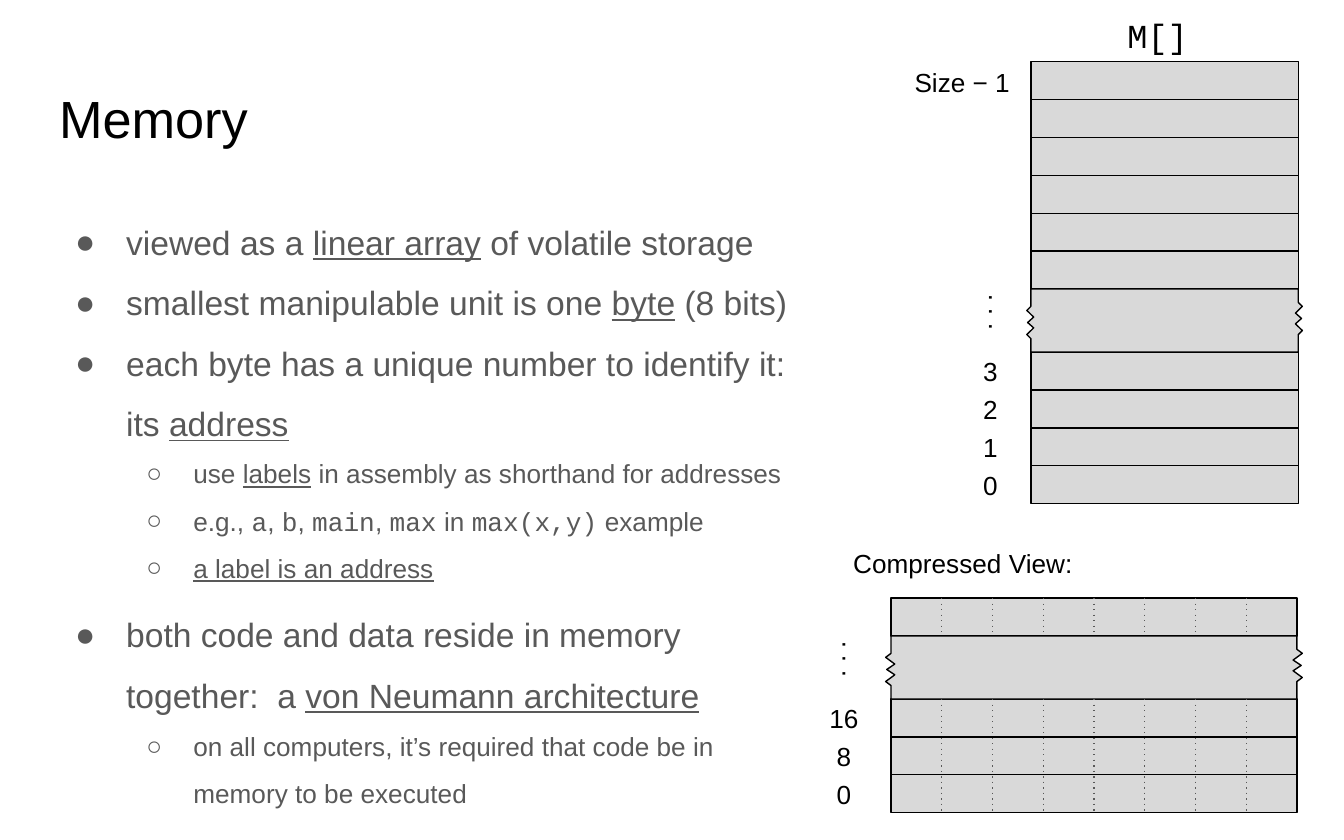
from dataclasses import dataclass

from lxml import etree
from pptx import Presentation
from pptx.dml.color import RGBColor
from pptx.enum.shapes import MSO_CONNECTOR, MSO_SHAPE
from pptx.enum.text import MSO_ANCHOR, MSO_AUTO_SIZE, PP_ALIGN
from pptx.oxml.ns import qn
from pptx.util import Inches, Pt

RECTANGLE = MSO_SHAPE.RECTANGLE
STRAIGHT = MSO_CONNECTOR.STRAIGHT
TOP, MIDDLE = MSO_ANCHOR.TOP, MSO_ANCHOR.MIDDLE
LEFT, CENTER = PP_ALIGN.LEFT, PP_ALIGN.CENTER


@dataclass(frozen=True)
class Theme:
    ink: str = "000000"
    muted: str = "595959"
    cell: str = "D9D9D9"
    sans: str = "Arial"
    mono: str = "Courier New"
    title: int = 28
    large: int = 18
    small: int = 14
    stroke: float = 0.75


THEME = Theme()
PLAIN, TERM, CODE = "plain", "term", "code"

# Each block: top, then paragraphs of (level, runs); terms are underlined.
BLOCKS = [
    (1.4, [
        (0, [("viewed as a ", PLAIN), ("linear array", TERM), (" of volatile storage", PLAIN)]),
        (0, [("smallest manipulable unit is one ", PLAIN), ("byte", TERM), (" (8 bits)", PLAIN)]),
    ]),
    (2.3, [
        (0, [("each byte has a unique number to identify it:  its ", PLAIN), ("address", TERM)]),
    ]),
    (3.19, [
        (1, [("use ", PLAIN), ("labels", TERM), (" in assembly as shorthand for addresses", PLAIN)]),
        (1, [("e.g., ", PLAIN), ("a", CODE), (", ", PLAIN), ("b", CODE), (", ", PLAIN),
             ("main", CODE), (", ", PLAIN), ("max", CODE), (" in ", PLAIN),
             ("max(x,y)", CODE), (" example", PLAIN)]),
        (1, [("a label is an address", TERM)]),
    ]),
    (4.32, [
        (0, [("both code and data reside in memory together:  a ", PLAIN),
             ("von Neumann architecture", TERM)]),
        (1, [("on all computers, it’s required that code be in memory to be executed", PLAIN)]),
    ]),
]
# Per level: bullet, text indent, hanging indent, size
LEVELS = [("●", 0.5, -0.38, THEME.large), ("○", 1.0, -0.35, THEME.small)]

# Addresses are listed from the row just below the break downwards.
MEMORY_VIEWS = [
    dict(left=7.67, top=0.46, width=1.99, above=6, addresses=["3", "2", "1", "0"],
         columns=1, label_center=7.37, swing=0.03),
    dict(left=6.63, top=4.45, width=3.02, above=1, addresses=["16", "8", "0"],
         columns=8, label_center=6.28, swing=0.04),
]
ROW = 1.69 / 6
BREAK = 0.47
# Torn edge: (sideways swing, distance below the top of the break)
TEAR = [(0, 0), (0, 0.13), (-1, 0.16), (0.7, 0.21), (-0.8, 0.25),
        (0.7, 0.29), (-1, 0.34), (0, 0.37), (0, BREAK)]


def style(font, size, color, name=THEME.sans):
    font.size = Pt(size)
    font.name = name
    font.color.rgb = RGBColor.from_string(color)


def outline(line, color):
    line.color.rgb = RGBColor.from_string(color)
    line.width = Pt(THEME.stroke)


def finish_cell(shape):
    shape.shadow.inherit = False
    shape.fill.solid()
    shape.fill.fore_color.rgb = RGBColor.from_string(THEME.cell)
    outline(shape.line, THEME.ink)


def text_frame(shape, anchor=TOP):
    frame = shape.text_frame
    frame.word_wrap = True
    frame.auto_size = MSO_AUTO_SIZE.NONE
    frame.vertical_anchor = anchor
    frame.margin_left = frame.margin_right = Inches(0.1)
    frame.margin_top = frame.margin_bottom = Inches(0.1)
    return frame


def add_box(slide, left, top, width, height):
    return slide.shapes.add_textbox(Inches(left), Inches(top), Inches(width), Inches(height))


def add_label(slide, text, left, top, width, height, anchor=TOP, align=LEFT,
              size=THEME.small, name=THEME.sans, rotation=0):
    label = add_box(slide, left, top, width, height)
    label.rotation = rotation
    frame = text_frame(label, anchor)
    frame.text = text
    frame.paragraphs[0].alignment = align
    style(frame.paragraphs[0].runs[0].font, size, THEME.ink, name)


def set_bullet(paragraph, level):
    bullet, indent, hanging, _ = LEVELS[level]
    paragraph.level = level
    properties = paragraph._p.get_or_add_pPr()
    properties.set("marL", str(Inches(indent)))
    properties.set("indent", str(Inches(hanging)))
    color = etree.SubElement(properties, qn("a:buClr"))
    etree.SubElement(color, qn("a:srgbClr"), val=THEME.muted)
    etree.SubElement(properties, qn("a:buFont"), typeface=THEME.sans)
    etree.SubElement(properties, qn("a:buChar"), char=bullet)


def add_block(slide, top, paragraphs):
    frame = text_frame(add_box(slide, 0.34, top, 5.72, 4.15))
    for index, (level, runs) in enumerate(paragraphs):
        paragraph = frame.add_paragraph() if index else frame.paragraphs[0]
        set_bullet(paragraph, level)
        paragraph.line_spacing = 1.5
        for text, role in runs:
            run = paragraph.add_run()
            run.text = text
            style(run.font, LEVELS[level][3], THEME.muted,
                  THEME.mono if role == CODE else THEME.sans)
            if role == TERM:
                run.font.underline = True


def add_divider(slide, x, top, bottom):
    divider = slide.shapes.add_connector(
        STRAIGHT, Inches(x), Inches(top), Inches(x), Inches(bottom))
    outline(divider.line, THEME.muted)
    properties = divider._element.spPr
    etree.SubElement(properties.find(qn("a:ln")), qn("a:prstDash"), val="dot")
    etree.SubElement(properties, qn("a:effectLst"))


def add_break(slide, left, top, width, swing):
    """Draw the band with torn sides that stands for the rows left out."""
    left_edge = [(left + swing * dx, top + dy) for dx, dy in TEAR]
    right_edge = [(left + width - swing * dx, top + BREAK - dy) for dx, dy in TEAR]
    start, *rest = [(Inches(x), Inches(y)) for x, y in left_edge + right_edge]
    builder = slide.shapes.build_freeform(*start)
    builder.add_line_segments(rest, close=True)
    finish_cell(builder.convert_to_shape())


def add_memory(slide, left, top, width, above, addresses, columns, label_center, swing):
    break_top = top + above * ROW
    below_top = break_top + BREAK
    below_rows = [below_top + i * ROW for i in range(len(addresses))]
    for row_top in [top + i * ROW for i in range(above)] + below_rows:
        finish_cell(slide.shapes.add_shape(
            RECTANGLE, Inches(left), Inches(row_top), Inches(width), Inches(ROW)))
    add_break(slide, left, break_top, width, swing)
    for column in range(1, columns):
        x = left + column * width / columns
        add_divider(slide, x, top, break_top)
        add_divider(slide, x, below_top, below_top + len(addresses) * ROW)
    for address, row_top in zip(addresses, below_rows):
        label_width = 0.22 + 0.12 * len(address)
        add_label(slide, address, label_center - label_width / 2, row_top,
                  label_width, ROW, MIDDLE, CENTER)
    add_label(slide, ". . .", label_center - 0.25, break_top - 0.17, 0.54, 0.61, rotation=270)


def main():
    deck = Presentation()
    deck.slide_width, deck.slide_height = Inches(10), Inches(6.25)
    slide = deck.slides.add_slide(deck.slide_layouts[5])

    title = slide.shapes.title
    title.left, title.top = Inches(0.34), Inches(0.54)
    title.width, title.height = Inches(9.32), Inches(0.7)
    heading = text_frame(title)
    heading.text = "Memory"
    heading.paragraphs[0].alignment = LEFT
    style(heading.paragraphs[0].runs[0].font, THEME.title, THEME.ink)

    for top, paragraphs in BLOCKS:
        add_block(slide, top, paragraphs)
    for view in MEMORY_VIEWS:
        add_memory(slide, **view)
    add_label(slide, "M[]", 8.29, 0.01, 0.84, 0.61, size=THEME.large, name=THEME.mono)
    add_label(slide, "Size − 1", 6.68, 0.47, 0.96, ROW, MIDDLE, CENTER)
    add_label(slide, "Compressed View:", 6.25, 3.97, 3.1, 0.61)
    deck.save("out.pptx")


if __name__ == "__main__":
    main()
